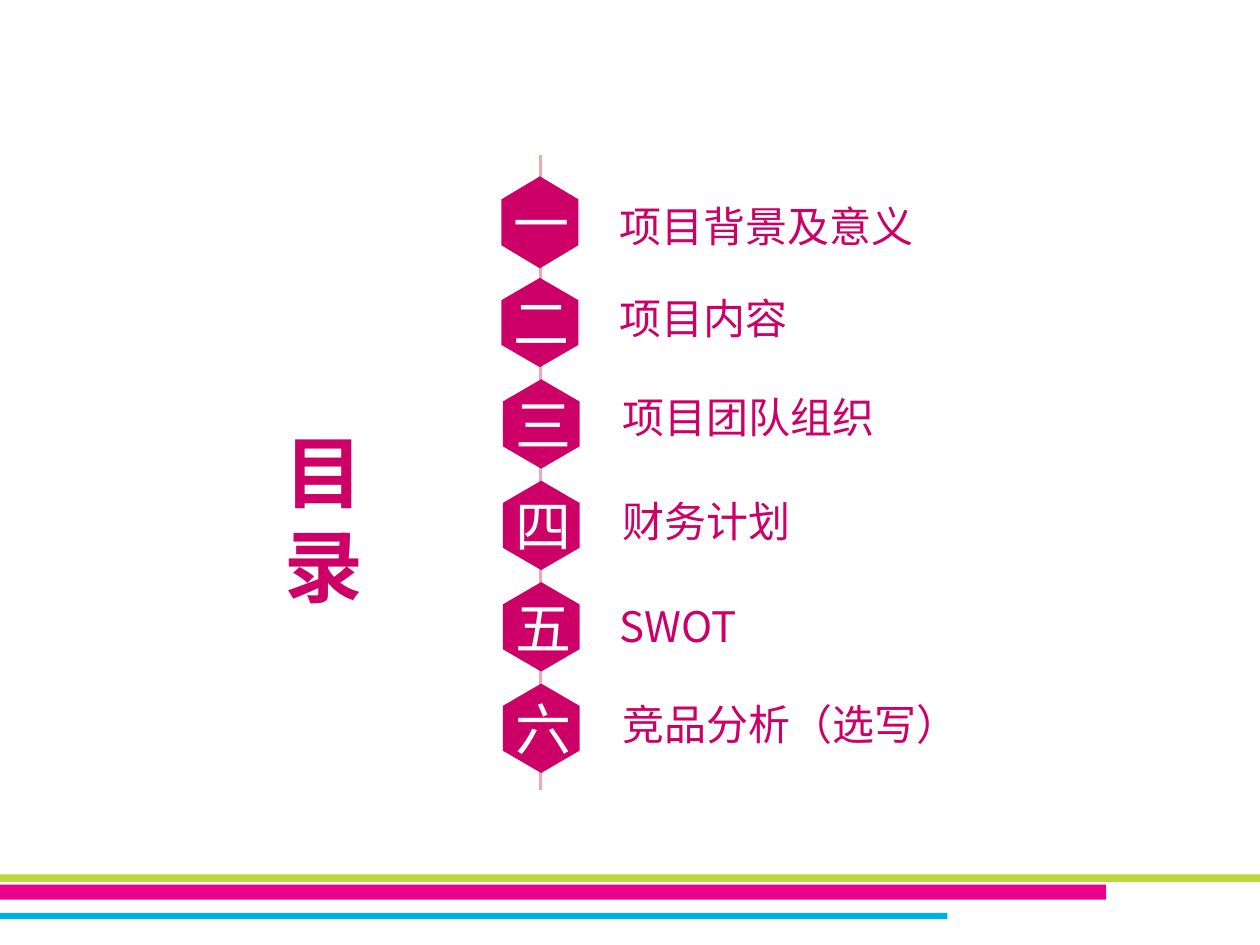
"""Build a contents slide with six numbered hexagons on a vertical line."""
from dataclasses import dataclass

from lxml import etree
from pptx import Presentation
from pptx.dml.color import RGBColor
from pptx.enum.shapes import MSO_CONNECTOR, MSO_SHAPE
from pptx.enum.text import MSO_ANCHOR, MSO_AUTO_SIZE, PP_ALIGN
from pptx.oxml.ns import qn
from pptx.util import Inches, Pt

RECT = MSO_SHAPE.RECTANGLE
STRAIGHT = MSO_CONNECTOR.STRAIGHT
TOP, MIDDLE = MSO_ANCHOR.TOP, MSO_ANCHOR.MIDDLE
LEFT, CENTER = PP_ALIGN.LEFT, PP_ALIGN.CENTER
GROW = MSO_AUTO_SIZE.SHAPE_TO_FIT_TEXT

COLORS = {
    "accent": "CC0066",
    "white": "FFFFFF",
    "axis": "EEA8B2",
    "green": "BED63A",
    "magenta": "EB008B",
    "blue": "00ADEF",
}
SANS, SERIF = "Noto Sans CJK SC", "Times New Roman"
COLS, ROWS = 100, 75
CELL = Inches(0.1)
HEX_TOP, HEX_PITCH, HEX_WIDTH = 14, 8.05, 6.1
LABEL_WIDTH, LABEL_HEIGHT = 33.5, 4.4


@dataclass
class Bar:
    row: float
    cols: float
    rows: float
    color: str


@dataclass
class Topic:
    number: str
    label: str
    hex_col: float
    label_col: float
    label_row: float
    hex_rows: float = 7.1


BARS = [
    Bar(69.4, COLS, 0.6, "green"),
    Bar(70.2, 87.8, 1.2, "magenta"),
    Bar(72.45, 75.2, 0.5, "blue"),
]
TOPICS = [
    Topic("一", "项目背景及意义", 39.8, 48.2, 16, 7.3),
    Topic("二", "项目内容", 39.8, 48.2, 23.3),
    Topic("三", "项目团队组织", 39.9, 48.4, 31.1),
    Topic("四", "财务计划", 39.9, 48.4, 39.4),
    Topic("五", "SWOT", 39.9, 48.2, 47.7),
    Topic("六", "竞品分析（选写）", 39.9, 48.4, 55.5),
]


def grid(cells: float) -> int:
    return round(cells * CELL)


def rgb(name: str) -> RGBColor:
    return RGBColor.from_string(COLORS[name])


def fill(sp, color: str) -> None:
    sp.shadow.inherit = False
    sp.fill.solid()
    sp.fill.fore_color.rgb = rgb(color)
    sp.line.fill.background()


def write(sp, text: str, size: float, color: str, font: str = SANS,
          bold: bool = False, align=LEFT, anchor=MIDDLE, spacing: float = 1.0) -> None:
    tf = sp.text_frame
    tf.word_wrap = True
    tf.vertical_anchor = anchor
    p = tf.paragraphs[0]
    p.text = text
    p.alignment = align
    p.line_spacing = spacing
    p.font.size = Pt(size)
    p.font.bold = bold
    p.font.name = font
    p.font.color.rgb = rgb(color)
    def_rpr = p._p.pPr.find(qn("a:defRPr"))
    etree.SubElement(def_rpr, qn("a:ea"), typeface=SANS)


def add_title(s, text: str) -> None:
    sp = s.shapes.title
    sp.left, sp.top, sp.width, sp.height = map(grid, (21.6, 33.1, 14.5, 8.5))
    write(sp, text, 45, "accent", bold=True, anchor=TOP)
    sp.text_frame.word_wrap = False
    sp.text_frame.auto_size = GROW


def add_bar(s, bar: Bar) -> None:
    sp = s.shapes.add_shape(RECT, 0, grid(bar.row), grid(bar.cols), grid(bar.rows))
    fill(sp, bar.color)


def add_axis(s, col: float, first_row: float, last_row: float) -> None:
    cx = s.shapes.add_connector(STRAIGHT, grid(col), grid(first_row), grid(col), grid(last_row))
    cx.line.color.rgb = rgb("axis")
    cx.line.width = Pt(1.5)
    etree.SubElement(cx._element.spPr, qn("a:effectLst"))


def add_hexagon(s, topic: Topic, row: float) -> None:
    left, right = topic.hex_col, topic.hex_col + HEX_WIDTH
    middle, bottom = (left + right) / 2, row + topic.hex_rows
    upper, lower = row + topic.hex_rows / 4, bottom - topic.hex_rows / 4
    points = [(right, upper), (right, lower), (middle, bottom), (left, lower), (left, upper)]
    fb = s.shapes.build_freeform(grid(middle), grid(row))
    fb.add_line_segments([(grid(x), grid(y)) for x, y in points], close=True)
    sp = fb.convert_to_shape()
    fill(sp, "accent")
    write(sp, topic.number, 32, "white", font=SERIF, align=CENTER)


def add_label(s, topic: Topic) -> None:
    sp = s.shapes.add_textbox(grid(topic.label_col), grid(topic.label_row),
                              grid(LABEL_WIDTH), grid(LABEL_HEIGHT))
    write(sp, topic.label, 24, "accent", spacing=0.9)


def main() -> None:
    prs = Presentation()
    prs.slide_width, prs.slide_height = grid(COLS), grid(ROWS)
    s = prs.slides.add_slide(prs.slide_layouts[5])
    add_title(s, "目录")
    for bar in BARS:
        add_bar(s, bar)
    add_axis(s, 42.9, 12.3, 62.7)
    for i, topic in enumerate(TOPICS):
        add_hexagon(s, topic, HEX_TOP + i * HEX_PITCH)
        add_label(s, topic)
    prs.save("out.pptx")


if __name__ == "__main__":
    main()
